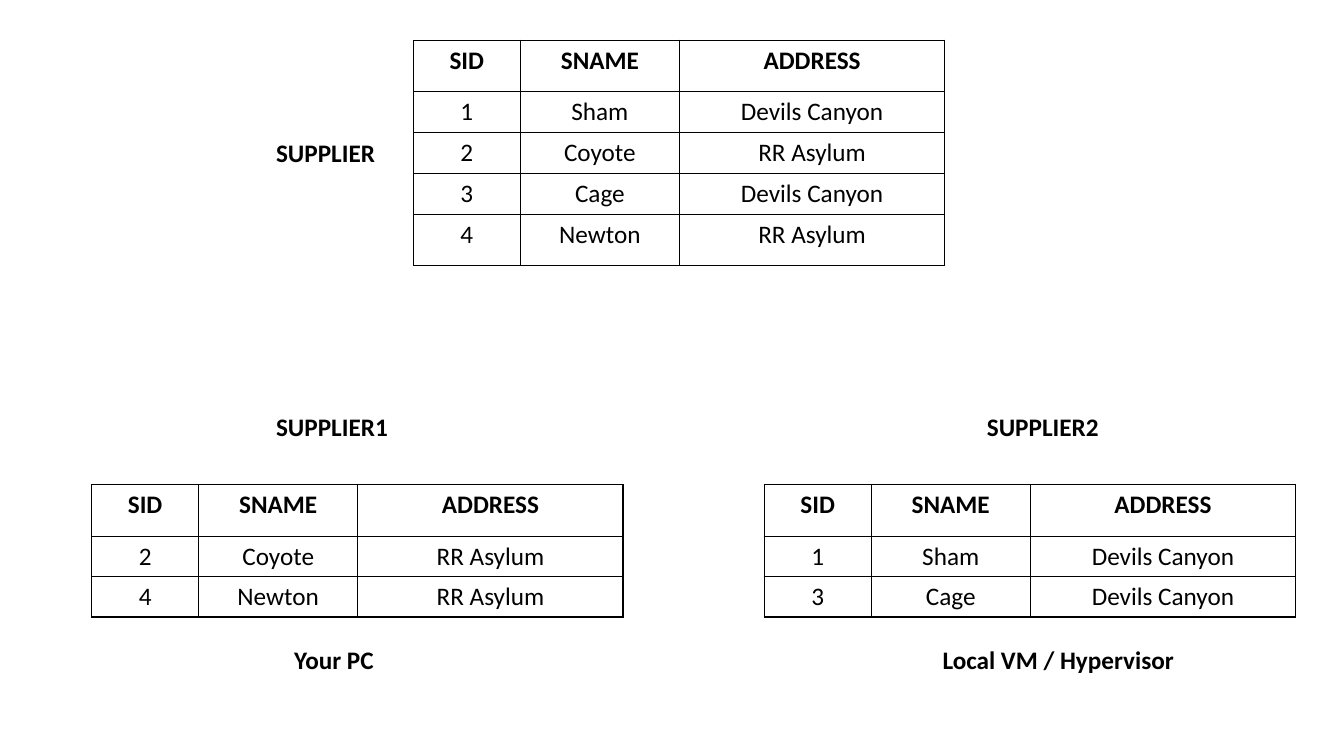
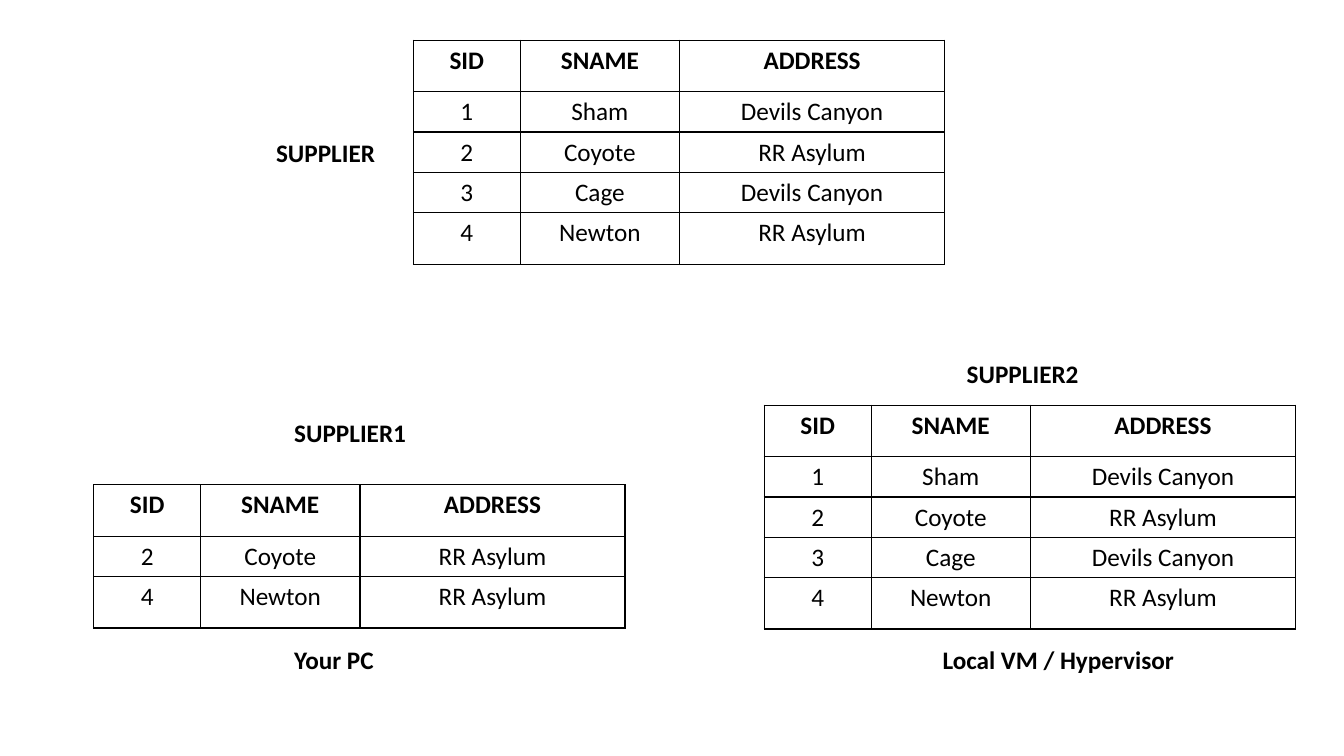
from dataclasses import dataclass

from lxml import etree
from pptx import Presentation
from pptx import util as u
from pptx.dml.color import RGBColor
from pptx.enum import text
from pptx.oxml import ns

FONT = "Calibri"
BLACK, WHITE = "000000", "FFFFFF"
HEADER = ("SID", "SNAME", "ADDRESS")
SUPPLIERS = (
    ("1", "Sham", "Devils Canyon"),
    ("2", "Coyote", "RR Asylum"),
    ("3", "Cage", "Devils Canyon"),
    ("4", "Newton", "RR Asylum"),
)
CANYON, ASYLUM = SUPPLIERS[::2], SUPPLIERS[1::2]
COL_WIDTHS = (1.06, 1.58, 2.63)
ROW_H, TALL_ROW_H = 0.4, 0.51


@dataclass(frozen=True)
class Label:
    text: str
    left: float
    top: float
    width: float = 1.46


@dataclass(frozen=True)
class Relation:
    rows: tuple
    left: float
    top: float
    tall_last: bool = True


SHARED = (
    Relation(SUPPLIERS, 4.1, 0.4),
    Label("SUPPLIER", 2.64, 1.31),
    Label("Your PC", 2.82, 6.34, 2.6),
    Label("Local VM / Hypervisor", 9.25, 6.34, 2.6),
)
SLIDES = (
    (
        Label("SUPPLIER1", 2.64, 4.03),
        Label("SUPPLIER2", 9.69, 4.03),
        Relation(ASYLUM, 0.91, 4.81, tall_last=False),
        Relation(CANYON, 7.58, 4.81, tall_last=False),
    ),
    (
        Label("SUPPLIER1", 2.82, 4.09),
        Label("SUPPLIER2", 9.49, 3.51),
        Relation(ASYLUM, 0.93, 4.81),
        Relation(SUPPLIERS, 7.58, 4.02),
    ),
)


def rgb(color: str) -> RGBColor:
    return RGBColor.from_string(color)


def write(tf, content: str, *, bold: bool = False, align=text.PP_ALIGN.LEFT) -> None:
    p = tf.paragraphs[0]
    p.alignment = align
    r = p.add_run()
    r.text = content
    r.font.name, r.font.size, r.font.bold = FONT, u.Pt(18), bold
    r.font.color.rgb = rgb(BLACK)


def add_borders(cell, color: str = BLACK, width: float = 1) -> None:
    tc_pr = cell._tc.get_or_add_tcPr()
    for side in ("lnL", "lnR", "lnT", "lnB"):
        ln = etree.SubElement(tc_pr, ns.qn(f"a:{side}"), w=str(u.Pt(width)))
        fill = etree.SubElement(ln, ns.qn("a:solidFill"))
        etree.SubElement(fill, ns.qn("a:srgbClr"), val=color)


def draw_label(s, label: Label) -> None:
    sp = s.shapes.add_textbox(u.Inches(label.left), u.Inches(label.top),
                              u.Inches(label.width), u.Inches(0.4))
    tf = sp.text_frame
    tf.word_wrap = True
    tf.auto_size = text.MSO_AUTO_SIZE.SHAPE_TO_FIT_TEXT
    write(tf, label.text, bold=True)


def draw_relation(s, relation: Relation) -> None:
    rows = (HEADER, *relation.rows)
    heights = [TALL_ROW_H] + [ROW_H] * len(relation.rows)
    if relation.tall_last:
        heights[-1] = TALL_ROW_H
    frame = s.shapes.add_table(
        len(rows), len(HEADER), u.Inches(relation.left), u.Inches(relation.top),
        u.Inches(sum(COL_WIDTHS)), u.Inches(sum(heights)))
    table = frame.table
    table.first_row = table.horz_banding = False
    for col, width in zip(table.columns, COL_WIDTHS):
        col.width = u.Inches(width)
    for i, (values, height) in enumerate(zip(rows, heights)):
        table.rows[i].height = u.Inches(height)
        for j, value in enumerate(values):
            cell = table.cell(i, j)
            add_borders(cell)
            cell.fill.solid()
            cell.fill.fore_color.rgb = rgb(WHITE)
            write(cell.text_frame, value, bold=i == 0, align=text.PP_ALIGN.CENTER)


def main() -> None:
    prs = Presentation()
    prs.slide_width, prs.slide_height = u.Inches(13.33), u.Inches(7.5)
    for items in SLIDES:
        s = prs.slides.add_slide(prs.slide_layouts[6])
        for item in SHARED + items:
            if isinstance(item, Label):
                draw_label(s, item)
            else:
                draw_relation(s, item)
    prs.save("out.pptx")


if __name__ == "__main__":
    main()
